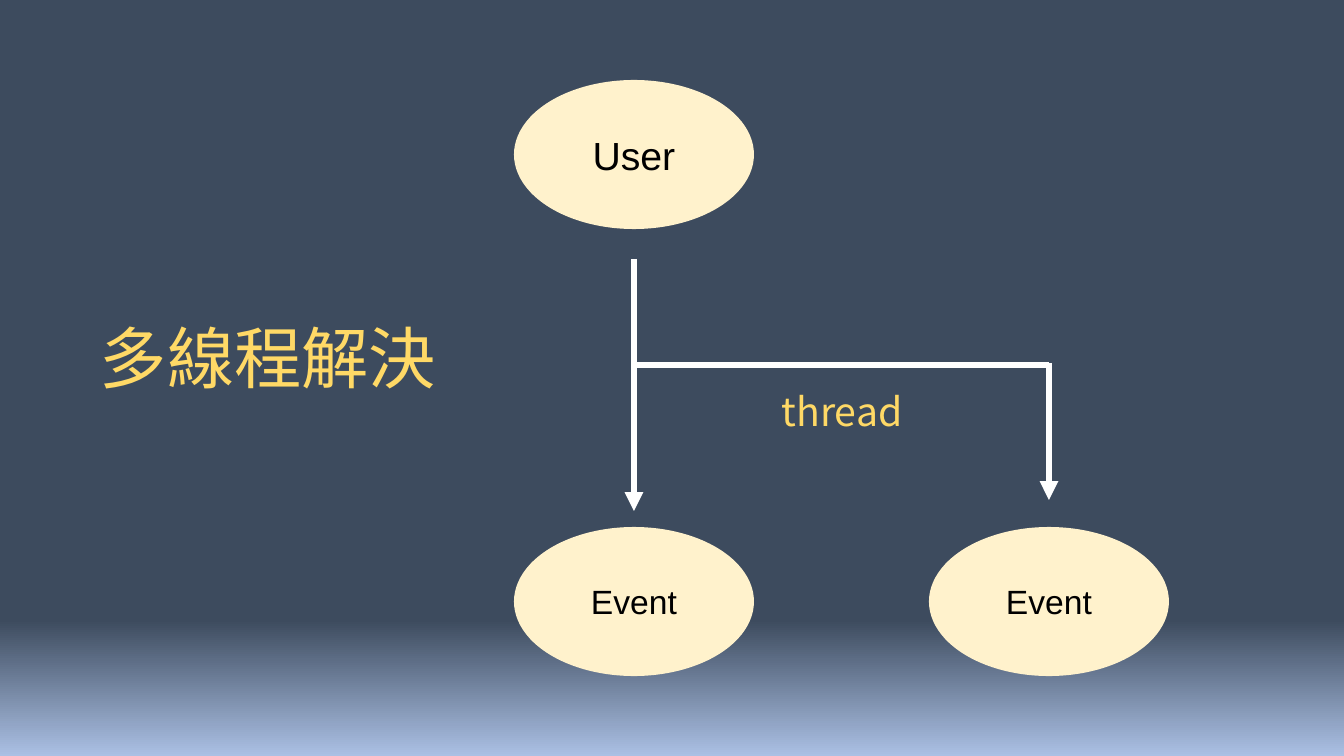
from lxml.etree import SubElement
from pptx import Presentation
from pptx.dml.color import RGBColor
from pptx.enum.shapes import MSO_CONNECTOR, MSO_SHAPE
from pptx.enum.text import MSO_ANCHOR, PP_ALIGN
from pptx.oxml.ns import qn
from pptx.util import Emu, Pt

EMU_PER_PX = 914400 / 100.8
NODE_WIDTH, NODE_HEIGHT = 240, 149
MAIN_X, THREAD_X = 634, 1049
USER_TOP, EVENT_TOP = 80, 527
BRANCH_Y = 365


def px(*lengths):
    """Turn pixel lengths into a list of EMU lengths."""
    return [Emu(round(length * EMU_PER_PX)) for length in lengths]


def write_centred(shape, text, size, font_name, color):
    frame = shape.text_frame
    frame.word_wrap = True
    frame.vertical_anchor = MSO_ANCHOR.MIDDLE
    frame.text = text
    paragraph = frame.paragraphs[0]
    paragraph.alignment = PP_ALIGN.CENTER
    font = paragraph.runs[0].font
    font.size = Pt(size)
    font.name = font_name
    font.color.rgb = RGBColor.from_string(color)
    # East Asian characters take their typeface from a:ea
    SubElement(font._element, qn("a:ea"), typeface=font_name)
    return paragraph


presentation = Presentation()
presentation.slide_width, presentation.slide_height = px(1344, 756)
slide = presentation.slides.add_slide(presentation.slide_layouts[6])

backdrop = slide.background.fill
backdrop.gradient()
backdrop.gradient_angle = 270
for stop, (position, color) in zip(
    backdrop.gradient_stops, [(0.82, "3D4B5E"), (1, "ABC0E4")]
):
    stop.position = position
    stop.color.rgb = RGBColor.from_string(color)

for label, center_x, top, size in [
    ("User", MAIN_X, USER_TOP, 28),
    ("Event", MAIN_X, EVENT_TOP, 24),
    ("Event", THREAD_X, EVENT_TOP, 24),
]:
    node = slide.shapes.add_shape(
        MSO_SHAPE.OVAL,
        *px(center_x - NODE_WIDTH / 2, top, NODE_WIDTH, NODE_HEIGHT),
    )
    node.shadow.inherit = False
    node.fill.solid()
    node.fill.fore_color.rgb = RGBColor.from_string("FFF2CC")
    node.line.fill.background()
    write_centred(node, label, size, "Arial", "000000")

for start_x, start_y, end_x, end_y, has_arrow in [
    (MAIN_X, 259, MAIN_X, 511, True),
    (MAIN_X, BRANCH_Y, THREAD_X, BRANCH_Y, False),
    (THREAD_X, 363, THREAD_X, 500, True),
]:
    flow = slide.shapes.add_connector(
        MSO_CONNECTOR.STRAIGHT, *px(start_x, start_y, end_x, end_y)
    )
    flow.line.width = Pt(4.5)
    flow.line.color.rgb = RGBColor.from_string("FFFFFF")
    if has_arrow:
        SubElement(flow.line._get_or_add_ln(), qn("a:tailEnd"), type="triangle")
    SubElement(flow._element.spPr, qn("a:effectLst"))

for caption, box, size in [
    ("多線程解決", (42, 296, 452, 132), 48),
    ("thread", (729, 370, 226, 88), 28),
]:
    caption_box = slide.shapes.add_textbox(*px(*box))
    paragraph = write_centred(caption_box, caption, size, "Noto Sans CJK TC", "FFD966")
    paragraph.line_spacing = 0.9

presentation.save("out.pptx")
